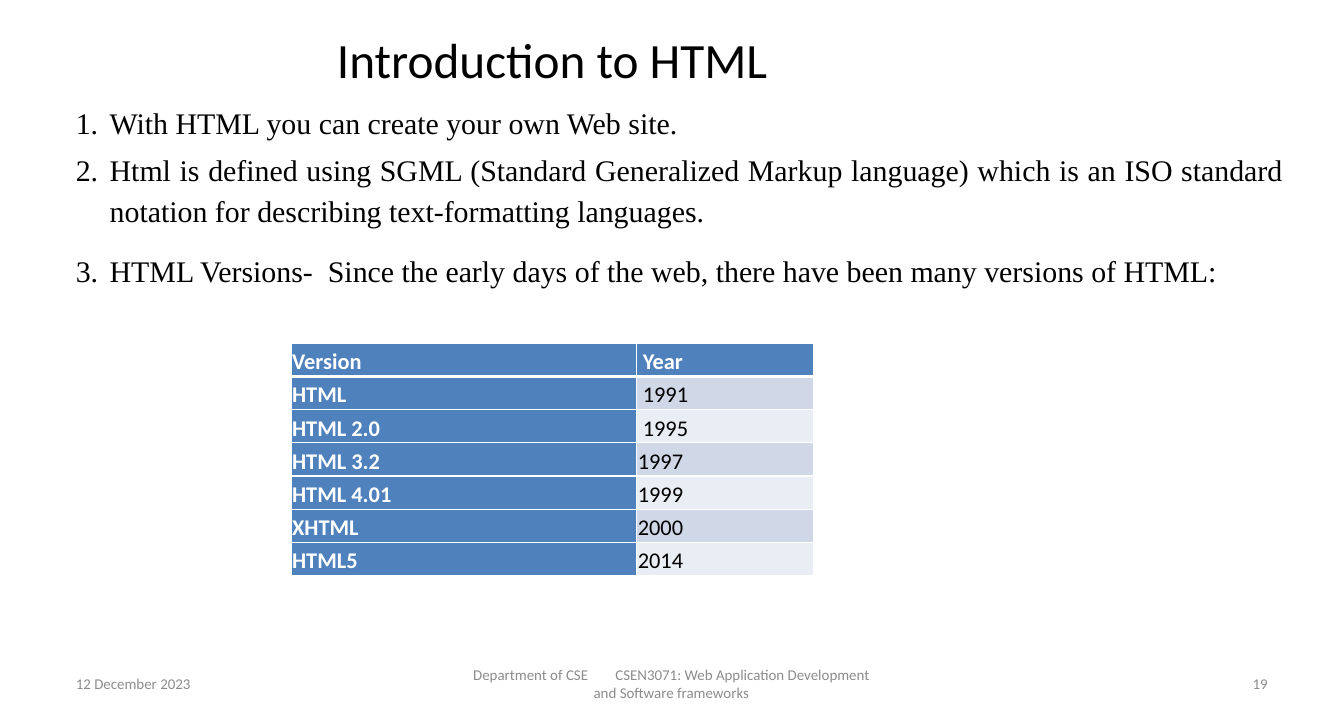
from dataclasses import dataclass

from lxml import etree
from pptx import Presentation
from pptx import util as u
from pptx.dml.color import RGBColor
from pptx.enum import text as t
from pptx.oxml import ns


@dataclass(frozen=True)
class Theme:
    heading_font: str = "Calibri"
    reading_font: str = "Times New Roman"
    ink: str = "000000"
    muted: str = "8C8C8C"
    paper: str = "FFFFFF"
    accent: str = "4F81BD"
    bands: tuple[str, str] = ("D0D8E8", "E9EDF4")
    title_size: float = 39.6
    reading_size: float = 24
    table_size: float = 18
    footer_size: float = 12


@dataclass(frozen=True)
class Box:
    left: float
    top: float
    width: float
    height: float

    def lengths(self) -> tuple[u.Cm, ...]:
        return tuple(u.Cm(n) for n in (self.left, self.top, self.width, self.height))


@dataclass(frozen=True)
class Phrase:
    text: str
    continuation: str = ""
    gap: float = 0


@dataclass(frozen=True)
class Point:
    phrase: Phrase
    space_after: float


@dataclass(frozen=True)
class Footer:
    phrase: Phrase
    left: float
    width: float
    align: t.PP_ALIGN


@dataclass(frozen=True)
class Release:
    version: str
    year: str


THEME = Theme()
TITLE_BOX = Box(1.9, 0.81, 27.51, 1.73)
POINTS_BOX = Box(1.9, 2.69, 34.72, 15.47)
FOOTER_TOP, FOOTER_HEIGHT = 18.82, 1.09
TABLE_LEFT, TABLE_TOP, ROW_HEIGHT = 8.25, 9.73, 0.94
COLUMN_WIDTHS = (9.8, 5.0)
CELL_INSET = 0.03
LINE_SPACING = 1.15

POINTS = (
    Point(Phrase("With HTML you can create your own Web site."), 0),
    Point(Phrase("Html is defined using SGML (Standard Generalized Markup language) "
                 "which is an ISO standard notation for describing text-formatting languages."), 10),
    Point(Phrase("HTML Versions-",
                 "Since the early days of the web, there have been many versions of HTML:", 6), 10),
)
FOOTERS = (
    Footer(Phrase("12 December 2023"), 1.9, 8.89, t.PP_ALIGN.LEFT),
    Footer(Phrase("Department of CSE",
                  "CSEN3071: Web Application Development and Software frameworks", 19),
           13, 12.07, t.PP_ALIGN.CENTER),
    Footer(Phrase("19"), 27.3, 8.89, t.PP_ALIGN.RIGHT),
)
RELEASES = (
    Release("Version", " Year"),
    Release("HTML", " 1991"),
    Release("HTML 2.0", " 1995"),
    Release("HTML 3.2", "1997"),
    Release("HTML 4.01", "1999"),
    Release("XHTML", "2000"),
    Release("HTML5", "2014"),
)


def style(paragraph, font: str, size: float, color: str, align: t.PP_ALIGN,
          bold: bool = False) -> None:
    paragraph.alignment = align
    paragraph.font.name = font
    paragraph.font.size = u.Pt(size)
    paragraph.font.bold = bold
    paragraph.font.color.rgb = RGBColor.from_string(color)


def write(paragraph, phrase: Phrase) -> None:
    paragraph.add_run().text = phrase.text
    if phrase.continuation:
        space = paragraph.add_run()
        space.text = " "
        space._r.get_or_add_rPr().set("spc", str(round(phrase.gap * 100)))
        paragraph.add_run().text = phrase.continuation


def number(paragraph) -> None:
    properties = paragraph._p.get_or_add_pPr()
    properties.set("marL", str(u.Cm(0.96)))
    properties.set("indent", str(u.Cm(-0.96)))
    etree.SubElement(properties, ns.qn("a:buAutoNum"), type="arabicPeriod")


def draw_title(slide) -> None:
    title = slide.shapes.title
    title.left, title.top, title.width, title.height = TITLE_BOX.lengths()
    frame = title.text_frame
    frame.text = "Introduction to HTML"
    frame.auto_size = t.MSO_AUTO_SIZE.NONE
    frame.vertical_anchor = t.MSO_ANCHOR.MIDDLE
    style(frame.paragraphs[0], THEME.heading_font, THEME.title_size, THEME.ink,
          t.PP_ALIGN.CENTER)


def draw_points(slide) -> None:
    frame = slide.shapes.add_textbox(*POINTS_BOX.lengths()).text_frame
    frame.word_wrap = True
    for index, point in enumerate(POINTS):
        paragraph = frame.add_paragraph() if index else frame.paragraphs[0]
        number(paragraph)
        write(paragraph, point.phrase)
        style(paragraph, THEME.reading_font, THEME.reading_size, THEME.ink,
              t.PP_ALIGN.JUSTIFY)
        paragraph.line_spacing = LINE_SPACING
        paragraph.space_before = u.Pt(THEME.reading_size * 0.2)
        paragraph.space_after = u.Pt(point.space_after)


def draw_footer(slide, footer: Footer) -> None:
    box = Box(footer.left, FOOTER_TOP, footer.width, FOOTER_HEIGHT)
    frame = slide.shapes.add_textbox(*box.lengths()).text_frame
    frame.word_wrap = True
    frame.vertical_anchor = t.MSO_ANCHOR.MIDDLE
    write(frame.paragraphs[0], footer.phrase)
    style(frame.paragraphs[0], THEME.heading_font, THEME.footer_size, THEME.muted,
          footer.align)


def add_borders(cell, top: float, bottom: float) -> None:
    properties = cell._tc.get_or_add_tcPr()
    for side, width in (("L", 1), ("R", 1), ("T", top), ("B", bottom)):
        line = etree.SubElement(properties, ns.qn(f"a:ln{side}"), w=str(u.Pt(width)))
        fill = etree.SubElement(line, ns.qn("a:solidFill"))
        etree.SubElement(fill, ns.qn("a:srgbClr"), val=THEME.paper)


def fill_cell(cell, label: str, row: int, is_heading: bool) -> None:
    add_borders(cell, top=3 if row == 1 else 1, bottom=3 if row == 0 else 1)
    cell.fill.solid()
    background = THEME.accent if is_heading else THEME.bands[(row - 1) % 2]
    cell.fill.fore_color.rgb = RGBColor.from_string(background)
    cell.margin_left = cell.margin_right = u.Cm(CELL_INSET)
    cell.margin_top = cell.margin_bottom = u.Cm(CELL_INSET)
    cell.vertical_anchor = t.MSO_ANCHOR.MIDDLE
    cell.text = label
    paragraph = cell.text_frame.paragraphs[0]
    style(paragraph, THEME.heading_font, THEME.table_size,
          THEME.paper if is_heading else THEME.ink, t.PP_ALIGN.JUSTIFY, is_heading)
    paragraph.line_spacing = LINE_SPACING
    paragraph.space_after = u.Pt(10)


def draw_releases(slide) -> None:
    box = Box(TABLE_LEFT, TABLE_TOP, sum(COLUMN_WIDTHS), ROW_HEIGHT * len(RELEASES))
    table = slide.shapes.add_table(len(RELEASES), len(COLUMN_WIDTHS), *box.lengths()).table
    table.first_col = True
    for column, width in zip(table.columns, COLUMN_WIDTHS):
        column.width = u.Cm(width)
    for row, release in enumerate(RELEASES):
        table.rows[row].height = u.Cm(ROW_HEIGHT)
        fill_cell(table.cell(row, 0), release.version, row, True)
        fill_cell(table.cell(row, 1), release.year, row, row == 0)


def main() -> None:
    deck = Presentation()
    deck.slide_width, deck.slide_height = u.Cm(38.1), u.Cm(20.32)
    slide = deck.slides.add_slide(deck.slide_layouts[5])
    draw_title(slide)
    draw_points(slide)
    for footer in FOOTERS:
        draw_footer(slide, footer)
    draw_releases(slide)
    deck.save("out.pptx")


if __name__ == "__main__":
    main()
